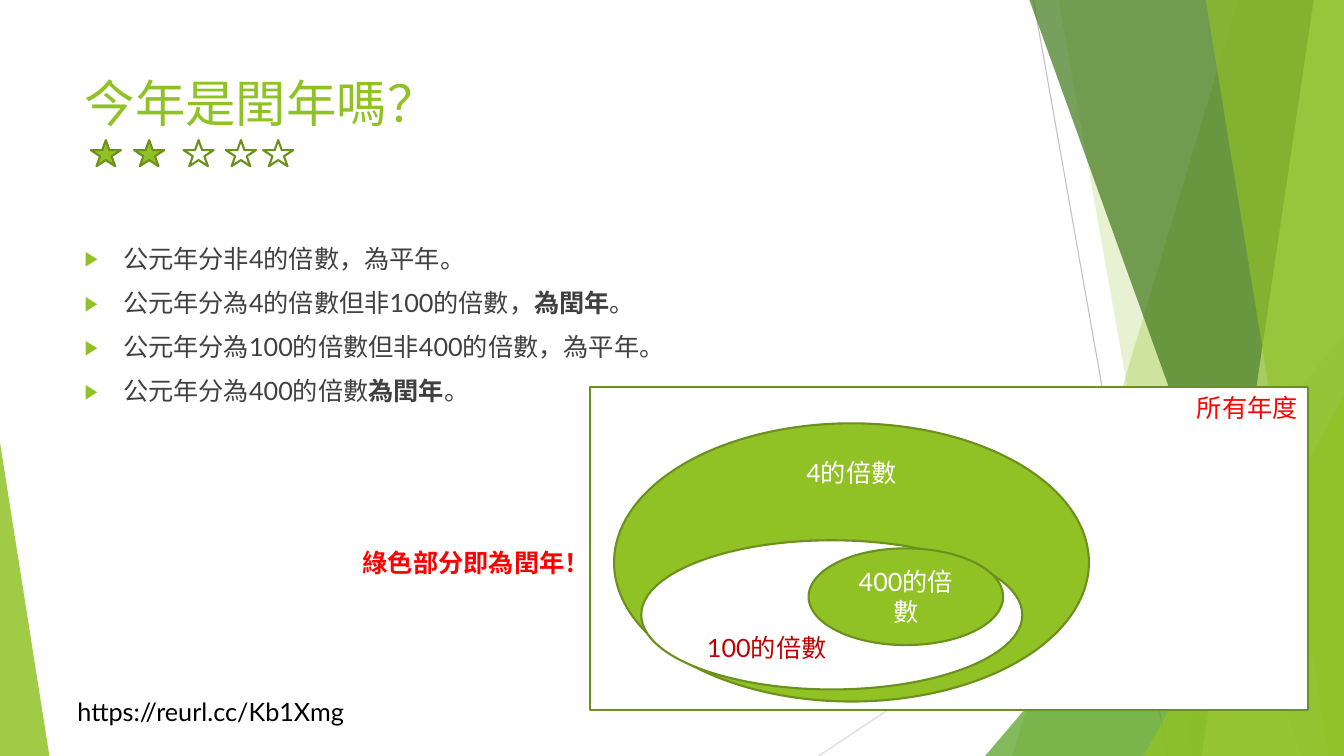
from lxml.etree import SubElement
from pptx import Presentation
from pptx.dml.color import RGBColor
from pptx.enum.shapes import MSO_CONNECTOR, MSO_SHAPE
from pptx.enum.text import MSO_ANCHOR, MSO_AUTO_SIZE, PP_ALIGN
from pptx.oxml.ns import qn
from pptx.util import Inches, Pt

LIME = RGBColor(0x90, 0xC2, 0x26)
PALE_LIME = RGBColor(0xC0, 0xE4, 0x74)
LEAF = RGBColor(0x54, 0xA0, 0x21)
FOREST = RGBColor(0x3F, 0x78, 0x19)
OUTLINE = RGBColor(0x6B, 0x90, 0x1C)
GRAY = RGBColor(0xBF, 0xBF, 0xBF)
LIGHT_GRAY = RGBColor(0xD9, 0xD9, 0xD9)
DARK = RGBColor(0x40, 0x40, 0x40)
RED = RGBColor(0xFF, 0x00, 0x00)
DARK_RED = RGBColor(0xC0, 0x00, 0x00)
WHITE = RGBColor(0xFF, 0xFF, 0xFF)
BLACK = RGBColor(0x00, 0x00, 0x00)
WIDTH, HEIGHT = 13.33, 7.5


def write(paragraph, text, size=18, color=BLACK, bold=False, align=PP_ALIGN.LEFT):
    """Add a formatted run of text to a paragraph."""
    paragraph.alignment = align
    run = paragraph.add_run()
    run.text = text
    run.font.name = "Lato"
    run.font.size = Pt(size)
    run.font.bold = bold
    run.font.color.rgb = color


def place(shape, box):
    """Move a shape to a box of left, top, width and height in inches."""
    shape.left, shape.top, shape.width, shape.height = map(Inches, box)


def paint(shape, color, opacity):
    """Give a borderless shape a translucent fill."""
    shape.shadow.inherit = False
    shape.line.fill.background()
    shape.fill.solid()
    shape.fill.fore_color.rgb = color
    color_element = shape.fill._xPr.find(qn("a:solidFill"))[0]
    SubElement(color_element, qn("a:alpha"), val=str(opacity * 1000))


def add_outlined(slide, kind, box, fill=None):
    """Add a preset shape with the green outline."""
    shape = slide.shapes.add_shape(kind, *map(Inches, box))
    shape.shadow.inherit = False
    shape.line.color.rgb = OUTLINE
    shape.line.width = Pt(1.5)
    if fill is None:
        shape.fill.background()
    else:
        shape.fill.solid()
        shape.fill.fore_color.rgb = fill
    return shape


def add_hairline(slide, start, end, color):
    """Add a thin decorative line."""
    line = slide.shapes.add_connector(
        MSO_CONNECTOR.STRAIGHT, *map(Inches, start + end))
    line.line.color.rgb = color
    line.line.width = Pt(0.75)
    SubElement(line._element.spPr, qn("a:effectLst"))


def add_wedge(slide, top_left, bottom_left, color, opacity):
    """Add a full-height panel with a slanted left edge."""
    corners = [(WIDTH, 0), (WIDTH, HEIGHT), (bottom_left, HEIGHT)]
    builder = slide.shapes.build_freeform(Inches(top_left), 0)
    builder.add_line_segments([(Inches(x), Inches(y)) for x, y in corners])
    paint(builder.convert_to_shape(), color, opacity)


def add_triangle(slide, box, apex, color, opacity):
    """Add a translucent right-angled triangle."""
    triangle = slide.shapes.add_shape(
        MSO_SHAPE.ISOSCELES_TRIANGLE, *map(Inches, box))
    triangle.adjustments[0] = apex
    paint(triangle, color, opacity)


def add_backdrop(slide):
    """Draw the green facets along the slide edges."""
    add_hairline(slide, (10.25, 0), (11.58, HEIGHT), GRAY)
    add_hairline(slide, (WIDTH, 4.03), (8.12, HEIGHT), LIGHT_GRAY)
    add_wedge(slide, 12.28, 10.04, LIME, 30)
    add_wedge(slide, 10.5, 11.83, LIME, 20)
    add_triangle(slide, (9.77, 3.33, 3.56, 4.17), 1, LEAF, 72)
    add_wedge(slide, 10.21, 12.91, FOREST, 70)
    add_wedge(slide, 13.03, 11.92, PALE_LIME, 70)
    add_wedge(slide, 11.96, 13.18, LIME, 65)
    add_triangle(slide, (11.34, 3.93, 1.99, 3.57), 1, LIME, 80)
    add_triangle(slide, (0, 4.39, 0.49, 3.11), 0, LIME, 85)


def add_title(slide, box):
    """Fill the title placeholder."""
    title = slide.shapes.title
    place(title, box)
    title.text_frame.vertical_anchor = MSO_ANCHOR.TOP
    title.text_frame.auto_size = MSO_AUTO_SIZE.NONE
    write(title.text_frame.paragraphs[0], "今年是閏年嗎？", size=36, color=LIME)


def add_bullet(paragraph):
    """Give a paragraph a small green arrow bullet."""
    properties = paragraph._p.get_or_add_pPr()
    properties.set("marL", str(Inches(0.38)))
    properties.set("indent", str(-Inches(0.38)))
    color = SubElement(properties, qn("a:buClr"))
    SubElement(color, qn("a:srgbClr"), val=str(LIME))
    SubElement(properties, qn("a:buSzPct"), val="80000")
    SubElement(properties, qn("a:buFont"), typeface="Lato")
    SubElement(properties, qn("a:buChar"), char="▶")


def add_rules(slide, box):
    """List the leap year rules, with the leap verdicts in bold."""
    rules = [
        ["公元年分非4的倍數，為平年。"],
        ["公元年分為4的倍數但非100的倍數，", "為閏年", "。"],
        ["公元年分為100的倍數但非400的倍數，為平年。"],
        ["公元年分為400的倍數", "為閏年", "。"],
    ]
    body = slide.placeholders[1]
    place(body, box)
    frame = body.text_frame
    frame.vertical_anchor = MSO_ANCHOR.TOP
    frame.auto_size = MSO_AUTO_SIZE.NONE
    for index, parts in enumerate(rules):
        paragraph = frame.add_paragraph() if index else frame.paragraphs[0]
        paragraph.space_before = Pt(10 if index else 0)
        add_bullet(paragraph)
        for part in parts:
            write(paragraph, part, color=DARK, bold=part == "為閏年")


def add_rating(slide, left, top):
    """Draw five stars, the first two filled."""
    for index, offset in enumerate([0, 0.43, 0.92, 1.34, 1.71]):
        add_outlined(slide, MSO_SHAPE.STAR_5_POINT,
                     (left + offset, top, 0.3, 0.26), LIME if index < 2 else None)


def add_region(slide, kind, box, fill, text, color, anchor, align):
    """Add one labelled set of the diagram."""
    region = add_outlined(slide, kind, box, fill)
    region.text_frame.word_wrap = True
    region.text_frame.vertical_anchor = anchor
    write(region.text_frame.paragraphs[0], text, color=color, align=align)
    return region


def add_diagram(slide, left, top):
    """Draw the nested sets of years."""
    oval = MSO_SHAPE.OVAL
    add_region(slide, MSO_SHAPE.RECTANGLE, (left, top, 7.12, 3.2), WHITE,
               "所有年度", RED, MSO_ANCHOR.TOP, PP_ALIGN.RIGHT)
    fours = add_region(slide, oval, (left + 0.24, top + 0.36, 4.71, 2.76), LIME,
                       "4的倍數", WHITE, MSO_ANCHOR.TOP, PP_ALIGN.CENTER)
    fours.text_frame.margin_top = Inches(-0.07)
    add_region(slide, oval, (left + 0.51, top + 1.52, 3.78, 1.48), WHITE,
               "100的倍數", DARK_RED, MSO_ANCHOR.BOTTOM, PP_ALIGN.LEFT)
    add_region(slide, oval, (left + 2.17, top + 1.6, 1.93, 0.96), LIME,
               "400的倍數", WHITE, MSO_ANCHOR.MIDDLE, PP_ALIGN.CENTER)


def add_label(slide, box, text, **text_format):
    """Add a one-line text box."""
    label = slide.shapes.add_textbox(*map(Inches, box))
    label.text_frame.word_wrap = False
    write(label.text_frame.paragraphs[0], text, **text_format)


def main():
    """Build and save the leap year slide."""
    presentation = Presentation()
    presentation.slide_width = Inches(WIDTH)
    presentation.slide_height = Inches(HEIGHT)
    slide = presentation.slides.add_slide(presentation.slide_layouts[1])
    add_backdrop(slide)
    add_label(slide, (0.67, 6.86, 3.06, 0.4), "https://reurl.cc/Kb1Xmg")
    add_title(slide, (0.74, 0.67, 9.4, 1.44))
    add_rules(slide, (0.74, 2.36, 9.4, 4.24))
    add_rating(slide, 0.9, 1.39)
    add_diagram(slide, 5.85, 3.84)
    add_label(slide, (3.5, 5.38, 2.47, 0.4), "綠色部分即為閏年！", color=RED, bold=True)
    presentation.save("out.pptx")


if __name__ == "__main__":
    main()
